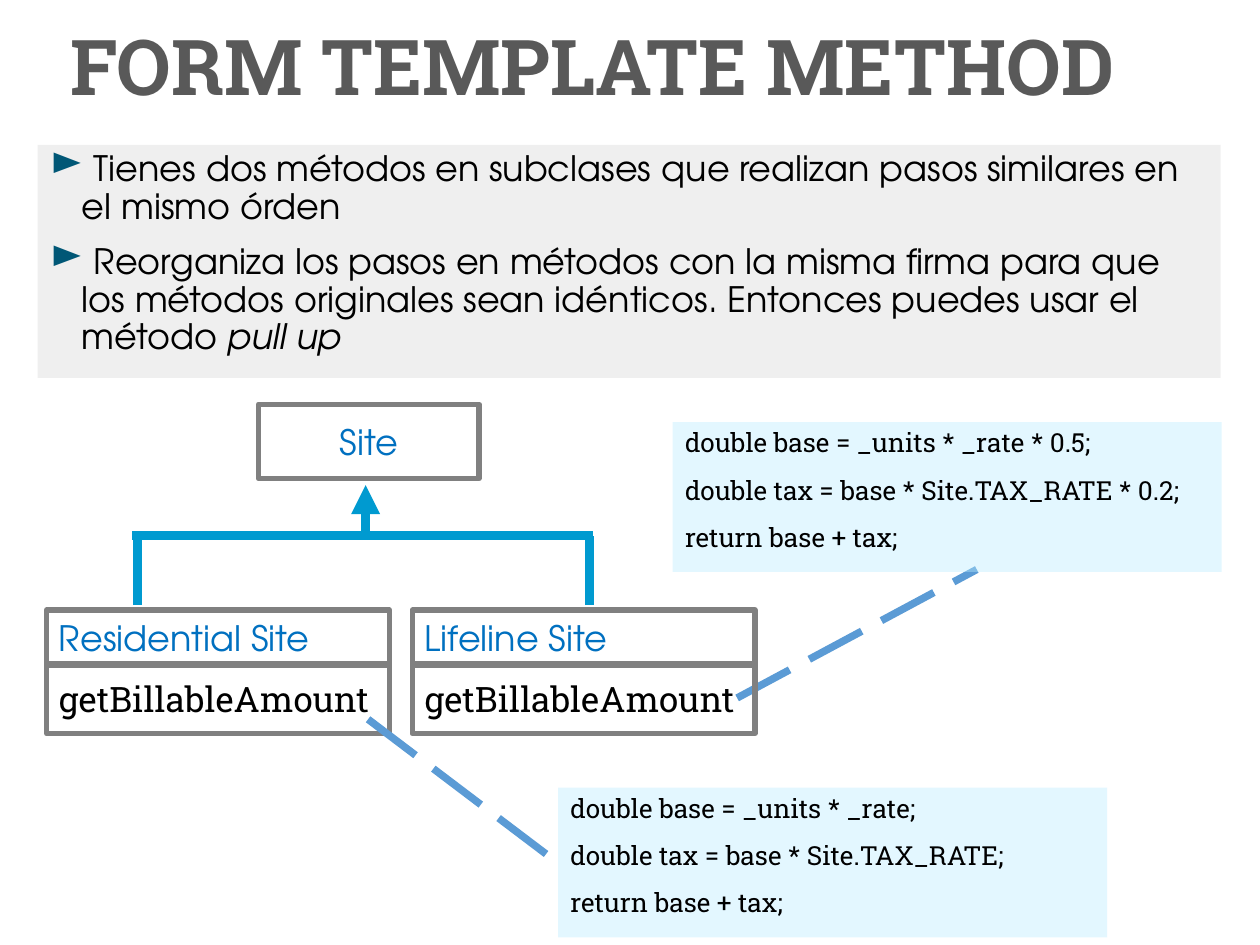
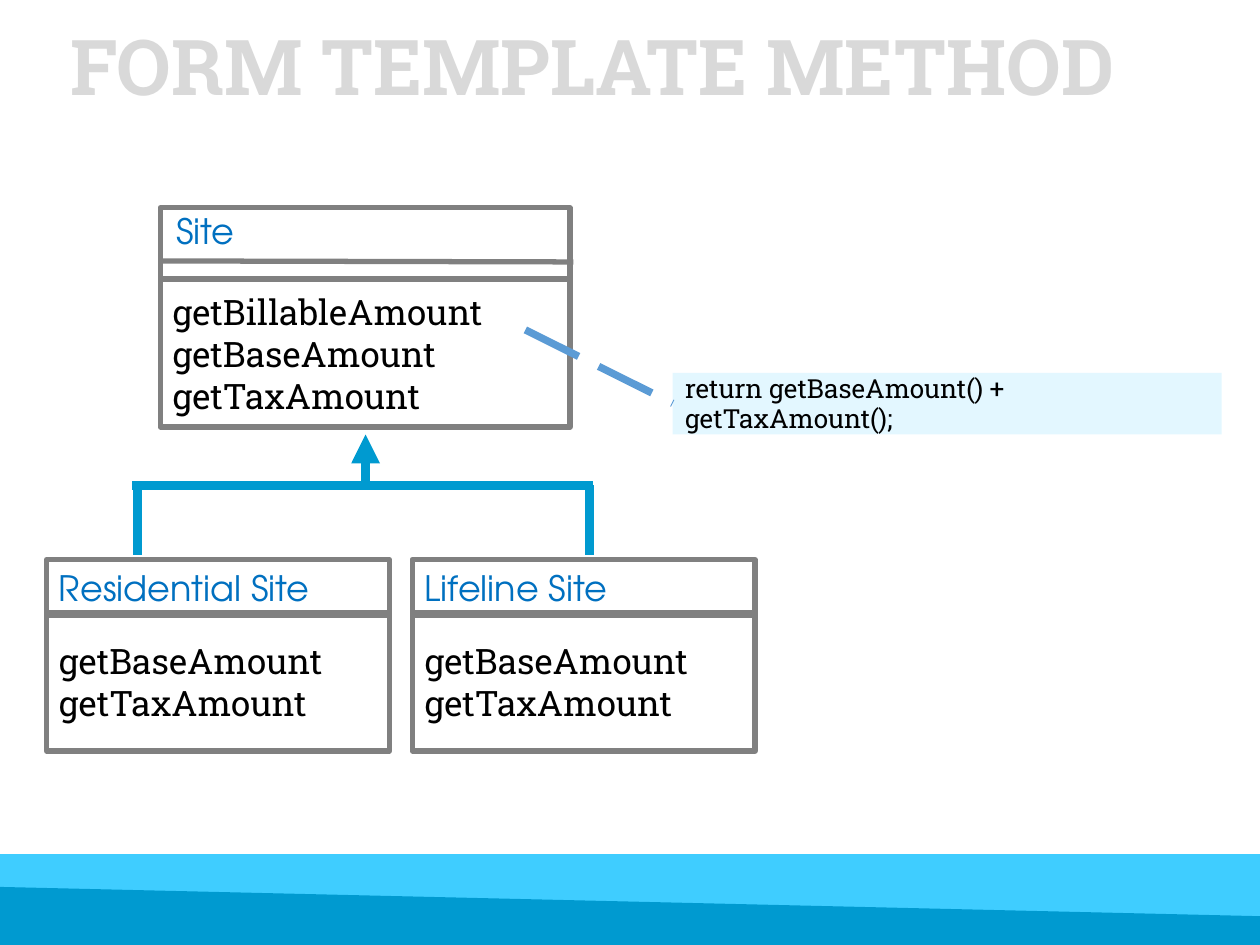
from dataclasses import dataclass

from lxml.etree import SubElement
from pptx import Presentation
from pptx.dml.color import RGBColor
from pptx.enum.dml import MSO_LINE
from pptx.enum.shapes import MSO_CONNECTOR, MSO_SHAPE
from pptx.enum.text import MSO_ANCHOR, MSO_AUTO_SIZE, PP_ALIGN
from pptx.oxml.ns import qn
from pptx.util import Cm, Pt


@dataclass(frozen=True)
class Theme:
    """Colours, fonts and sizes shared by the slides."""

    title: str = "595959"
    title_faded: str = "D9D9D9"
    text: str = "000000"
    class_name: str = "0070C0"
    class_border: str = "808080"
    inheritance: str = "009AD0"
    note_link: str = "5B9BD5"
    code_fill: str = "B9EDFF"
    summary_fill: str = "D9D9D9"
    bullet: str = "005776"
    band_light: str = "3FCDFF"
    band_dark: str = "009AD0"
    slab: str = "Roboto Slab"
    sans: str = "TeX Gyre Adventor"
    title_size: int = 44
    body_size: int = 20
    code_size: int = 15
    border: float = 3
    branch: float = 5.25
    arrow: float = 5.5
    dash: float = 4.25


THEME = Theme()
SUBCLASSES = {"Residential Site": 0.94, "Lifeline Site": 8.31}
CODE_LEFT = 13.56


def style(paragraph, face, size, colour, bold=None):
    """Set the font of a whole paragraph."""
    font = paragraph.font
    font.name, font.size, font.bold = face, Pt(size), bold
    font.color.rgb = RGBColor.from_string(colour)


def write(frame, lines, face, size, colour, anchor=MSO_ANCHOR.MIDDLE,
          align=PP_ALIGN.LEFT, spacing=None, before=None):
    """Fill a text frame with one paragraph per line."""
    frame.word_wrap = True
    frame.vertical_anchor = anchor
    for index, line in enumerate(lines):
        paragraph = frame.add_paragraph() if index else frame.paragraphs[0]
        paragraph.text = line
        paragraph.alignment = align
        paragraph.line_spacing = spacing
        paragraph.space_before = before
        style(paragraph, face, size, colour)


def add_box(slide, area, fill=None, opacity=None, border=None):
    """Draw a rectangle at (left, top, width, height) in centimetres."""
    box = slide.shapes.add_shape(MSO_SHAPE.RECTANGLE, *map(Cm, area))
    paint(box, fill, border)
    if opacity:
        colour = box.element.spPr.find(qn("a:solidFill"))[0]
        SubElement(colour, qn("a:alpha"), val=str(opacity * 1000))
    return box


def paint(shape, fill, border=None):
    """Set fill and border, and take the shadow off."""
    shape.shadow.inherit = False
    if fill:
        shape.fill.solid()
        shape.fill.fore_color.rgb = RGBColor.from_string(fill)
    else:
        shape.fill.background()
    if border:
        shape.line.color.rgb = RGBColor.from_string(border)
        shape.line.width = Pt(THEME.border)
    else:
        shape.line.fill.background()


def add_line(slide, start, end, colour, width, dashed=False, arrow=False):
    """Join two points given in centimetres."""
    link = slide.shapes.add_connector(
        MSO_CONNECTOR.STRAIGHT, *map(Cm, (*start, *end)))
    link.line.color.rgb = RGBColor.from_string(colour)
    link.line.width = Pt(width)
    if dashed:
        link.line.dash_style = MSO_LINE.LONG_DASH
    if arrow:
        SubElement(link.line._get_or_add_ln(), qn("a:tailEnd"), type="triangle")
    SubElement(link.element.spPr, qn("a:effectLst"))


def add_note_link(slide, start, end):
    """Tie a method to its code with a dashed line."""
    add_line(slide, start, end, THEME.note_link, THEME.dash, dashed=True)


def add_titled_slide(deck, colour):
    """Start a title-only slide with the common heading."""
    slide = deck.slides.add_slide(deck.slide_layouts[5])
    title = slide.shapes.title
    title.left, title.top, title.width, title.height = map(
        Cm, (0.03, -0.41, 25.37, 3.68))
    frame = title.text_frame
    write(frame, ["FORM TEMPLATE METHOD"], THEME.slab, THEME.title_size,
          colour, spacing=0.9)
    frame.paragraphs[0].font.bold = True
    frame.auto_size = MSO_AUTO_SIZE.NONE
    frame.margin_left = Cm(1.4)
    return slide


def add_bullet(paragraph):
    """Give a paragraph a hanging arrow bullet."""
    properties = paragraph._p.get_or_add_pPr()
    properties.set("marL", str(Cm(0.64)))
    properties.set("indent", str(-Cm(0.64)))
    marks = [SubElement(properties, qn("a:buClr")),
             SubElement(properties, qn("a:buSzPct"), val="120000"),
             SubElement(properties, qn("a:buChar"), char="►")]
    SubElement(marks[0], qn("a:srgbClr"), val=THEME.bullet)
    font = properties.find(qn("a:defRPr"))
    for mark in marks:
        font.addprevious(mark)


def add_summary(slide):
    """Add the grey panel that explains the refactoring."""
    frame = add_box(slide, (0.76, 2.92, 23.85, 4.7),
                    THEME.summary_fill, 40).text_frame
    write(frame, [
        " Tienes dos métodos en subclases que realizan pasos similares en "
        "el mismo órden",
        " Reorganiza los pasos en métodos con la misma firma para que los "
        "métodos originales sean idénticos. Entonces puedes usar el método ",
    ], THEME.sans, THEME.body_size, THEME.text, MSO_ANCHOR.TOP,
        spacing=0.9, before=Pt(10))
    for paragraph in frame.paragraphs:
        add_bullet(paragraph)
    technique = frame.paragraphs[-1].add_run()
    technique.text = "pull up"
    technique.font.italic = True


def add_class_name(slide, area, name, align=PP_ALIGN.LEFT):
    """Draw the compartment that holds a class name."""
    box = add_box(slide, area, border=THEME.class_border)
    write(box.text_frame, [name], THEME.sans, THEME.body_size,
          THEME.class_name, align=align)


def add_methods(slide, area, methods):
    """Draw the compartment that lists the methods of a class."""
    box = add_box(slide, area, border=THEME.class_border)
    write(box.text_frame, methods, THEME.slab, THEME.body_size, THEME.text)


def add_code(slide, left, top, height, lines, anchor=MSO_ANCHOR.TOP):
    """Add a pale blue panel of code."""
    panel = add_box(slide, (left, top, 11.07, height), THEME.code_fill, 40)
    write(panel.text_frame, lines, THEME.slab, THEME.code_size, THEME.text,
          anchor, spacing=Pt(17), before=Pt(10))


def add_hierarchy(slide, bar, methods, methods_height):
    """Draw the inheritance tree below a bar height, with both subclasses."""
    def branch(start, end):
        add_line(slide, start, end, THEME.inheritance, THEME.branch)

    branch((2.67, bar), (11.96, bar))
    for x in (2.77, 11.89):
        branch((x, bar + 1.4), (x, bar))
    add_line(slide, (7.37, bar), (7.37, bar - 1.02), THEME.inheritance,
             THEME.arrow, arrow=True)
    for name, left in SUBCLASSES.items():
        add_methods(slide, (left, bar + 2.57, 6.91, methods_height), methods)
        add_class_name(slide, (left, bar + 1.5, 6.91, 1.12), name)


def add_footer(slide):
    """Draw the two-tone band at the bottom."""
    add_box(slide, (0, 17.22, 25.4, 1.83), THEME.band_light)
    edge = [(0, 17.88), (25.4, 18.47), (25.4, 19.05), (0, 19.05)]
    corners = [(Cm(x), Cm(y)) for x, y in edge]
    outline = slide.shapes.build_freeform(*corners[0])
    outline.add_line_segments(corners[1:], close=True)
    paint(outline.convert_to_shape(), THEME.band_dark)


def build_before(deck):
    """Show both subclasses computing the amount on their own."""
    slide = add_titled_slide(deck, THEME.title)
    add_note_link(slide, (14.86, 14.07), (19.69, 11.48))
    add_summary(slide)
    add_class_name(slide, (5.21, 8.15, 4.45, 1.5), "Site", PP_ALIGN.CENTER)
    add_hierarchy(slide, 10.8, ["getBillableAmount"], 1.42)
    add_code(slide, CODE_LEFT, 8.51, 3.02, [
        "double base = _units * _rate * 0.5;",
        "double tax = base * Site.TAX_RATE * 0.2;",
        "return base + tax;"])
    add_code(slide, 11.25, 15.88, 3.02, [
        "double base = _units * _rate;",
        "double tax = base * Site.TAX_RATE;",
        "return base + tax;"])
    add_note_link(slide, (7.42, 14.5), (11.25, 17.4))


def build_after(deck):
    """Show the template method pulled up into the superclass."""
    slide = add_titled_slide(deck, THEME.title_faded)
    add_hierarchy(slide, 9.78, ["getBaseAmount", "getTaxAmount"], 2.79)
    add_code(slide, CODE_LEFT, 7.52, 1.24,
             ["return getBaseAmount() + getTaxAmount();"], MSO_ANCHOR.MIDDLE)
    add_methods(slide, (3.23, 5.64, 8.26, 2.97),
                ["getBillableAmount", "getBaseAmount", "getTaxAmount"])
    add_box(slide, (3.23, 4.19, 8.26, 1.42), border=THEME.class_border)
    site = slide.shapes.add_textbox(*map(Cm, (3.3, 4.19, 5.51, 1.12)))
    write(site.text_frame, ["Site"], THEME.sans, THEME.body_size,
          THEME.class_name, MSO_ANCHOR.TOP, spacing=0.9, before=Pt(10))
    add_line(slide, (3.23, 5.26), (11.56, 5.28), THEME.class_border,
             THEME.border)
    add_note_link(slide, (10.59, 6.65), (13.56, 8.13))
    add_footer(slide)


def main():
    """Build and save the deck."""
    deck = Presentation()
    deck.slide_width, deck.slide_height = Cm(25.4), Cm(19.05)
    build_before(deck)
    build_after(deck)
    deck.save("out.pptx")


if __name__ == "__main__":
    main()
